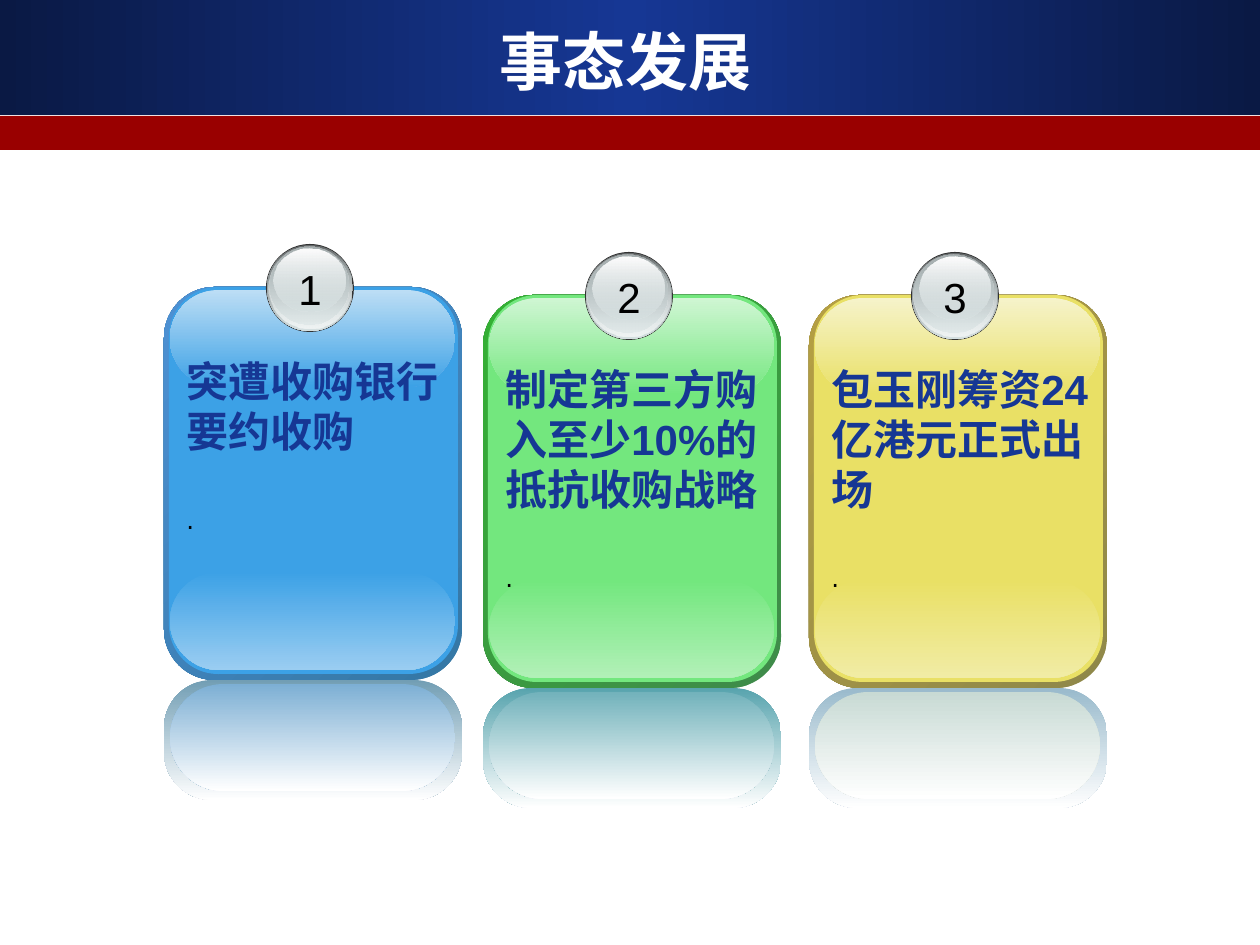
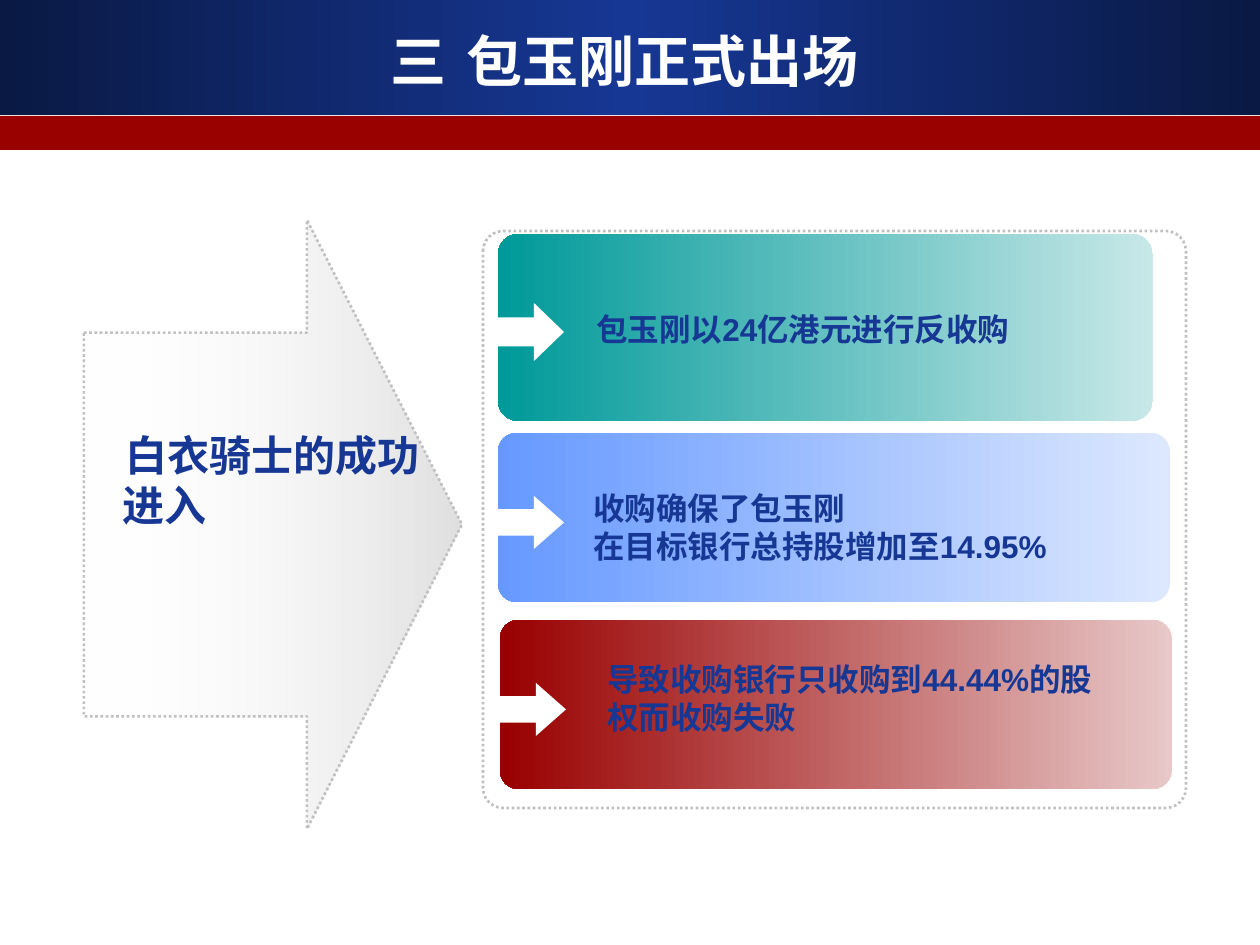
from dataclasses import dataclass
from lxml import etree
from pptx import Presentation
from pptx.dml.color import RGBColor
from pptx.enum import dml, shapes, text
from pptx.oxml.ns import qn
from pptx.util import Emu, Inches, Pt


@dataclass(frozen=True)
class Theme:
    navy: str = "163794"
    deep: str = "0A1944"
    red: str = "990000"
    white: str = "FFFFFF"
    black: str = "000000"
    grey: str = "C0C0C0"
    silver: str = "D6E1E2"
    rim: str = "333333"
    latin: str = "Arial"
    display: str = "DejaVu Sans"
    heading: int = 24
    label: int = 18
    small: int = 14
    gap: int = 28


THEME = Theme()
SCALE = Inches(1) / 126
KIND = shapes.MSO_SHAPE

TITLES = [("事态发展", 36), ("三 包玉刚正式出场", 32)]

CARDS = [
    dict(at=(164, 287), number="1", text="突遭收购银行要约收购",
         edge=("3477A4", "4E91D4"), face="3CA1E6", low="9ACDF1", high="BDDEF5",
         mirror=("729EB4", "7DAFD4")),
    dict(at=(483, 295), number="2", text="制定第三方购入至少10%的抵抗收购战略",
         edge=("3F8B4A", "34B034"), face="73E77E", low="B1F0B7", high="CFF6D3",
         mirror=("58A4AE", "72B2BB")),
    dict(at=(809, 295), number="3", text="包玉刚筹资24亿港元正式出场",
         edge=("8F8849", "B59F43"), face="E9E065", low="F1ECA5", high="F6F3CA",
         mirror=("99BACC", "C8DAD4")),
]

BADGE_RINGS = [
    ((102, -43, 88, 88), THEME.rim),
    ((103, -42, 86, 86), ["626768", THEME.silver]),
    ((104, -41, 83, 83), [(THEME.silver, 0), "EFF3F3"]),
    ((105, -40, 79, 78), ["A8B1B2", (THEME.silver, 48)]),
    ((110, -38, 71, 63), ["FEFEFE", (THEME.silver, 38)]),
]

KNIGHT = "白衣骑士的成功进入"
BARS = [
    dict(at=(498, 234, 655, 187), colors=["C8E8E8", "009999"], notch=58,
         label=(584, 304, 454, 50), wrap=False, lines=["包玉刚以24亿港元进行反收购"]),
    dict(at=(498, 433, 672, 169), colors=["DDE8FE", "6699FF"], notch=53,
         label=(581, 483, 556, 88), wrap=True,
         lines=["收购确保了包玉刚", "在目标银行总持股增加至14.95%"]),
    dict(at=(500, 620, 672, 169), colors=["E8C8C8", THEME.red], notch=53,
         label=(595, 654, 512, 88), wrap=True,
         lines=["导致收购银行只收购到44.44%的股权而收购失败"]),
]


def px(value):
    return Emu(round(value * SCALE))


def place(at):
    return [px(value) for value in at]


def shift(origin, at):
    return origin[0] + at[0], origin[1] + at[1], at[2], at[3]


def set_gradient(shape, colors, angle):
    shape.fill.gradient()
    shape.fill.gradient_angle = -angle % 360
    stops = shape._element.spPr.find(".//" + qn("a:gsLst"))
    for stop in list(stops):
        stops.remove(stop)
    for index, entry in enumerate(colors):
        color, opacity = (entry, 100) if isinstance(entry, str) else entry
        position = 100000 * index // (len(colors) - 1)
        stop = etree.SubElement(stops, qn("a:gs"), pos=str(position))
        value = etree.SubElement(stop, qn("a:srgbClr"), val=color)
        if opacity < 100:
            etree.SubElement(value, qn("a:alpha"), val=str(opacity * 1000))


def add_shape(canvas, kind, at, fill=None, angle=90, adjust=(), dotted=False):
    shape = canvas.add_shape(kind, *place(at))
    shape.shadow.inherit = False
    for index, value in enumerate(adjust):
        shape.adjustments[index] = value
    if fill is None:
        shape.fill.background()
    elif isinstance(fill, str):
        shape.fill.solid()
        shape.fill.fore_color.rgb = RGBColor.from_string(fill)
    else:
        set_gradient(shape, fill, angle)
    if dotted:
        shape.line.color.rgb = RGBColor.from_string(THEME.grey)
        shape.line.width = Pt(1.5)
        shape.line.dash_style = dml.MSO_LINE.ROUND_DOT
    else:
        shape.line.fill.background()
    return shape


def add_text(canvas, at, lines, size, color=THEME.navy, font=THEME.latin,
             bold=True, wrap=True, align=text.PP_ALIGN.LEFT, anchor=text.MSO_ANCHOR.TOP):
    frame = canvas.add_textbox(*place(at)).text_frame
    frame.word_wrap = wrap
    frame.vertical_anchor = anchor
    for index, line in enumerate(lines):
        para = frame.paragraphs[0] if index == 0 else frame.add_paragraph()
        para.alignment = align
        add_span(para, line, size, color, font, bold)
    return frame


def add_span(para, words, size, color, font, bold):
    span = para.add_run()
    span.text = words
    for name, value in dict(size=Pt(size), bold=bold, name=font).items():
        setattr(span.font, name, value)
    span.font.color.rgb = RGBColor.from_string(color)
    etree.SubElement(span._r.get_or_add_rPr(), qn("a:ea"), typeface=font)


def add_page(deck, title, size):
    page = deck.slides.add_slide(deck.slide_layouts[6])
    add_shape(page.shapes, KIND.RECTANGLE, (0, 0, 1260, 115),
              [THEME.deep, THEME.navy, THEME.deep], angle=180)
    add_shape(page.shapes, KIND.RECTANGLE, (0, 116, 1260, 34), THEME.red)
    add_text(page.shapes, (42, 21, 1166, 78), [title], size, THEME.white, THEME.display,
             align=text.PP_ALIGN.CENTER, anchor=text.MSO_ANCHOR.MIDDLE)
    return page


def add_card(page, card):
    canvas = page.shapes.add_group_shape().shapes
    origin, face = card["at"], card["face"]
    outer, inner = card["mirror"]
    layers = [
        ((0, 0, 298, 393), list(card["edge"]), 225, 0.17),
        ((5, 0, 289, 387), face, 90, 0.17),
        ((6, 285, 285, 98), [face, card["low"]], 90, 0.5),
        ((6, 3, 285, 97), [card["high"], face], 90, 0.5),
        ((0, 393, 298, 120), [outer, THEME.white], 90, 0.4),
        ((6, 397, 285, 107), [inner, THEME.white], 90, 0.5),
    ]
    for at, fill, angle, radius in layers:
        add_shape(canvas, KIND.ROUNDED_RECTANGLE, shift(origin, at), fill, angle, [radius])
    for at, fill in BADGE_RINGS:
        add_shape(canvas, KIND.OVAL, shift(origin, at), fill)
    add_text(canvas, shift(origin, (122, -30, 48, 63)), [card["number"]], THEME.heading,
             THEME.black, bold=False, wrap=False, align=text.PP_ALIGN.CENTER)
    frame = add_text(canvas, shift(origin, (10, 62, 284, 240)), [card["text"]], THEME.heading)
    para = frame.add_paragraph()
    para.space_before = Pt(THEME.gap)
    add_span(para, ".", THEME.small, THEME.black, THEME.display, False)


def add_bar(page, bar):
    canvas = page.shapes.add_group_shape().shapes
    left, top, width, height = bar["at"]
    notch = bar["notch"]
    add_shape(canvas, KIND.ROUNDED_RECTANGLE, bar["at"], bar["colors"], 180, [0.11])
    add_shape(canvas, KIND.RIGHT_ARROW,
              (left - 6, top + (height - notch) // 2 + 5, 72, notch),
              THEME.white, adjust=[0.5, 30 / notch])
    add_text(page.shapes, bar["label"], bar["lines"], THEME.label, wrap=bar["wrap"])


def add_knight(page):
    add_shape(page.shapes, KIND.RIGHT_ARROW, (84, 220, 378, 609),
              [(THEME.grey, 50), ("FEFEFE", 0)], 180, [0.63, 0.41], dotted=True)
    frame = add_text(page.shapes, (94, 423, 374, 113), [KNIGHT], THEME.heading)
    indents = frame.paragraphs[0]._p.get_or_add_pPr()
    for name, value in dict(marL=16, indent=3).items():
        indents.set(name, str(px(value)))


def main():
    deck = Presentation()
    deck.slide_width, deck.slide_height = px(1260), px(945)
    events, entrance = [add_page(deck, *title) for title in TITLES]
    for card in CARDS:
        add_card(events, card)
    add_knight(entrance)
    add_shape(entrance.shapes, KIND.ROUNDED_RECTANGLE, (483, 231, 703, 577),
              adjust=[0.035], dotted=True)
    for bar in BARS:
        add_bar(entrance, bar)
    deck.save("out.pptx")


if __name__ == "__main__":
    main()
